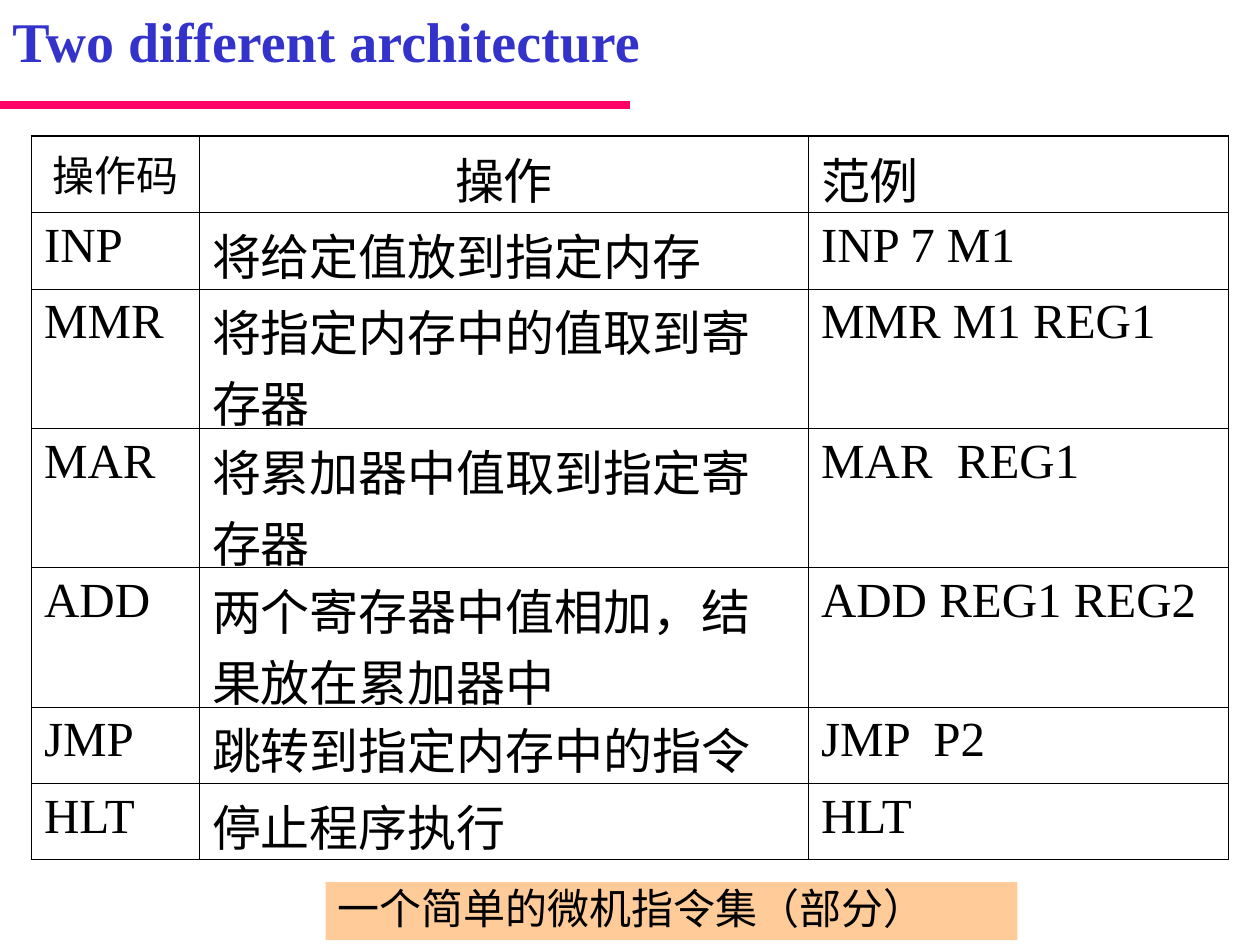
from lxml.etree import SubElement
from pptx import Presentation
from pptx.dml.color import RGBColor
from pptx.enum.shapes import MSO_CONNECTOR as Connector, MSO_SHAPE as Shape
from pptx.enum.text import MSO_AUTO_SIZE as AutoSize, MSO_ANCHOR as Anchor, PP_ALIGN as Align
from pptx.oxml.ns import qn
from pptx.util import Inches, Pt

WIDTH, HEIGHT = Inches(10), Inches(7.5)
GRID = 12
FONT = "Times New Roman"
BLACK, BLUE, PINK, PEACH = "000000", "3333CC", "FF0066", "FFCC99"
OUTER, INNER = 1.08, 0.45

COLUMN_SPANS = [1.6, 5.8, 4]
SINGLE, DOUBLE = 0.97, 1.77
ROW_SPANS = [SINGLE, SINGLE, DOUBLE, DOUBLE, DOUBLE, SINGLE, SINGLE]
BOTTOM_MARGIN = -0.11  # lets tall line boxes reach past the row edge
INSTRUCTIONS = [
    ("操作码", "操作", "范例"),
    ("INP", "将给定值放到指定内存", "INP 7 M1"),
    ("MMR", "将指定内存中的值取到寄存器", "MMR M1 REG1"),
    ("MAR", "将累加器中值取到指定寄存器", "MAR  REG1"),
    ("ADD", "两个寄存器中值相加，结果放在累加器中", "ADD REG1 REG2"),
    ("JMP", "跳转到指定内存中的指令", "JMP  P2"),
    ("HLT", "停止程序执行", "HLT"),
]


def across(columns):
    return round(WIDTH * columns / GRID)


def down(rows):
    return round(HEIGHT * rows / GRID)


def area(left, top, width, height):
    return across(left), down(top), across(width), down(height)


def color(code):
    return RGBColor.from_string(code)


def write(frame, text, size=28, ink=BLACK, bold=False, align=Align.LEFT, spacing=None):
    frame.word_wrap = True
    para = frame.paragraphs[0]
    para.alignment = align
    para.line_spacing = spacing
    span = para.add_run()
    span.text = text
    span.font.name = FONT
    span.font.size = Pt(size)
    span.font.bold = bold
    span.font.color.rgb = color(ink)


def add_title(page, text):
    box = page.shapes.add_textbox(*area(0, 0, 8.08, 1.02))
    write(box.text_frame, text, size=32, ink=BLUE, bold=True)
    box.text_frame.auto_size = AutoSize.SHAPE_TO_FIT_TEXT


def add_rule(page):
    y = down(1.33)
    rule = page.shapes.add_connector(Connector.STRAIGHT, 0, y, across(6), y)
    rule.line.color.rgb = color(PINK)
    rule.line.width = Pt(4.5)
    SubElement(rule._element.spPr, qn("a:effectLst"))


def add_caption(page, text):
    box = page.shapes.add_shape(Shape.RECTANGLE, *area(3.1, 11.2, 6.59, 0.74))
    box.shadow.inherit = False
    box.fill.solid()
    box.fill.fore_color.rgb = color(PEACH)
    box.line.fill.background()
    write(box.text_frame, text, size=24, align=Align.JUSTIFY, spacing=0.9)
    box.text_frame.vertical_anchor = Anchor.TOP
    box.text_frame.auto_size = AutoSize.SHAPE_TO_FIT_TEXT


def set_borders(cell, **widths):
    """Draw cell borders; the keys L, R, T, B must come in that order."""
    properties = cell._tc.get_or_add_tcPr()
    for side, width in widths.items():
        line = SubElement(properties, qn(f"a:ln{side}"), w=str(Pt(width)))
        fill = SubElement(line, qn("a:solidFill"))
        SubElement(fill, qn("a:srgbClr"), val=BLACK)


def add_instruction_table(page):
    last_row, last_column = len(ROW_SPANS) - 1, len(COLUMN_SPANS) - 1
    place = area(0.3, 1.73, sum(COLUMN_SPANS), sum(ROW_SPANS))
    table = page.shapes.add_table(last_row + 1, last_column + 1, *place).table
    table.first_row = table.horz_banding = False
    for column, span in zip(table.columns, COLUMN_SPANS):
        column.width = across(span)
    for row, span in zip(table.rows, ROW_SPANS):
        row.height = down(span)

    for r, texts in enumerate(INSTRUCTIONS):
        for c, text in enumerate(texts):
            cell = table.cell(r, c)
            centred = r == 0 and c < last_column
            write(cell.text_frame, text, size=24 if r == c == 0 else 28,
                  align=Align.CENTER if centred else Align.LEFT)
            cell.margin_bottom = Inches(BOTTOM_MARGIN)
            set_borders(cell,
                        L=OUTER if c == 0 else INNER,
                        R=OUTER if c == last_column else INNER,
                        T=OUTER if r == 0 else INNER,
                        B=OUTER if r == last_row else INNER)
            cell.fill.background()


def main():
    deck = Presentation()
    deck.slide_width, deck.slide_height = WIDTH, HEIGHT
    page = deck.slides.add_slide(deck.slide_layouts[6])
    add_instruction_table(page)
    add_caption(page, "一个简单的微机指令集（部分）")
    add_rule(page)
    add_title(page, "Two different architecture")
    deck.save("out.pptx")


if __name__ == "__main__":
    main()
